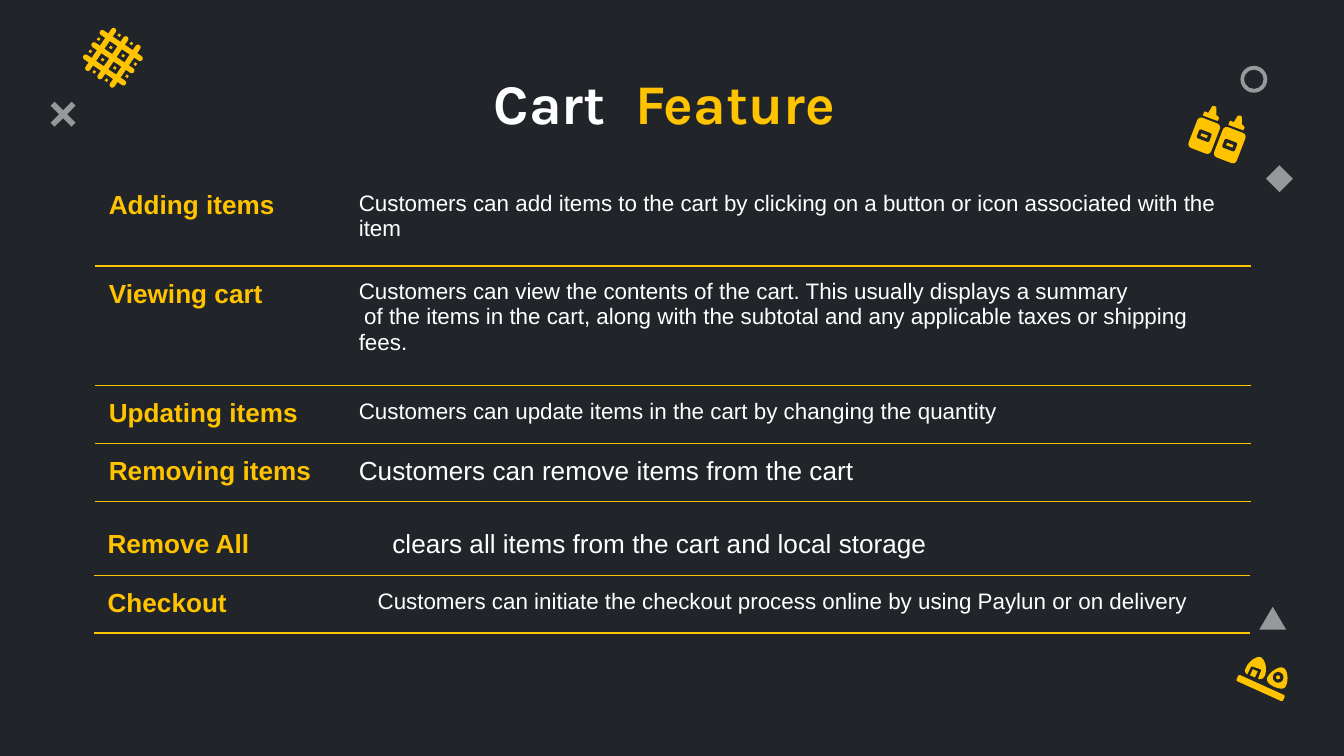
from math import cos, radians, sin
from lxml import etree
from pptx import Presentation
from pptx.dml.color import RGBColor
from pptx.enum.shapes import MSO_SHAPE
from pptx.enum.text import PP_ALIGN
from pptx.oxml import parse_xml
from pptx.oxml.ns import nsdecls, qn
from pptx.util import Inches, Pt

DARK = RGBColor(0x21, 0x25, 0x29)
GOLD = RGBColor(0xFF, 0xC3, 0x00)
WHITE = RGBColor(0xFF, 0xFF, 0xFF)
RECT, ROUND, OVAL = MSO_SHAPE.RECTANGLE, MSO_SHAPE.ROUNDED_RECTANGLE, MSO_SHAPE.OVAL
DONUT, CROSS = MSO_SHAPE.DONUT, MSO_SHAPE.MATH_MULTIPLY
PEAK, GEM = MSO_SHAPE.ISOSCELES_TRIANGLE, MSO_SHAPE.DIAMOND
CENTER = PP_ALIGN.CENTER
PLAIN = "{2D5ABB26-0587-4C30-8999-92F81FD0307C}"  # no style, no grid

deck = Presentation()
deck.slide_width = Inches(10)
deck.slide_height = Inches(10) * 9 // 16
slide = deck.slides.add_slide(deck.slide_layouts[6])
slide.background.fill.solid()
slide.background.fill.fore_color.rgb = DARK
shapes = slide.shapes


def place(kind, x, y, wide, high, turn=0, color=GOLD, adj=None):
    """Add a plain preset shape centred on x, y."""
    item = shapes.add_shape(kind, Inches(x - wide / 2), Inches(y - high / 2),
                            Inches(wide), Inches(high))
    item.rotation = turn
    item.shadow.inherit = False
    item.fill.solid()
    item.fill.fore_color.rgb = color
    item.line.fill.background()
    if adj is not None:
        item.adjustments[0] = adj
    return item


def trace(start, steps):
    """Fill an outline; a step is a line end or three Bezier points."""
    points, last = [], start
    for step in steps:
        if len(step) == 2:
            points.append(step)
        else:
            ax, ay, bx, by, cx, cy = step
            for n in range(1, 9):
                t = n / 8
                u = 1 - t
                points.append(tuple(
                    u**3 * p + 3 * u * u * t * a + 3 * u * t * t * b + t**3 * c
                    for p, a, b, c in zip(last, (ax, ay), (bx, by), (cx, cy))))
        last = step[-2:]
    form = shapes.build_freeform(Inches(start[0]), Inches(start[1]), scale=1.0)
    form.add_line_segments([(Inches(x), Inches(y)) for x, y in points], close=True)
    item = form.convert_to_shape()
    item.shadow.inherit = False
    item.fill.solid()
    item.fill.fore_color.rgb = GOLD
    item.line.fill.background()


# Sushi on a board
TILT = 24.3
place(ROUND, 9.38, 5.12, 0.38, 0.05, TILT, adj=0.25)
trace((9.55, 4.97), [(9.52, 4.95, 9.45, 5, 9.43, 5.04), (9.42, 5.07, 9.44, 5.09, 9.48, 5.11),
                     (9.53, 5.13, 9.56, 5.13, 9.57, 5.1), (9.59, 5.06, 9.58, 4.98, 9.55, 4.97)])
place(OVAL, 9.51, 5.04, 0.08, 0.08, color=DARK)
place(OVAL, 9.51, 5.04, 0.03, 0.03)
trace((9.38, 4.89), [(9.35, 4.88, 9.29, 4.92, 9.27, 4.97), (9.26, 4.99, 9.26, 5, 9.28, 5.02),
                     (9.31, 4.96), (9.31, 4.96, 9.32, 4.96, 9.32, 4.96), (9.38, 4.98),
                     (9.38, 4.99, 9.39, 4.99, 9.38, 5), (9.36, 5.05),
                     (9.38, 5.06, 9.4, 5.05, 9.41, 5.03), (9.43, 4.99, 9.42, 4.91, 9.38, 4.89)])
place(RECT, 9.33, 5.01, 0.04, 0.05, TILT)

# Waffle: three bars each way, small squares between them
SLANT = 34.2
STEP = 0.11
dx, dy = cos(radians(SLANT)), sin(radians(SLANT))
midx, midy = 0.84, 0.43
for off in (-STEP, 0, STEP):
    place(ROUND, midx - off * dy, midy + off * dx, 0.38, 0.04, SLANT, adj=0.5)
    place(ROUND, midx + off * dx, midy + off * dy, 0.04, 0.38, SLANT, adj=0.5)
spots = [STEP * n for n in (-1.5, -0.5, 0.5, 1.5)]
for a in spots:
    for b in spots:
        if abs(a) + abs(b) < 0.3:
            place(RECT, midx + a * dx - b * dy, midy + a * dy + b * dx, 0.02, 0.02, SLANT)

# Two sauce bottles
LEAN = 21
for sx, sy in ((0, 0), (-0.19, -0.07)):
    place(ROUND, 9.15 + sx, 1.08 + sy, 0.18, 0.24, LEAN, adj=0.17)
    place(ROUND, 9.15 + sx, 1.08 + sy, 0.1, 0.07, LEAN, DARK, 0.2)
    place(RECT, 9.15 + sx, 1.08 + sy, 0.05, 0.02, LEAN)
    tip = [(9.21, 0.86), (9.18, 0.91), (9.16, 0.9), (9.15, 0.9), (9.14, 0.93), (9.25, 0.97),
           (9.26, 0.95), (9.25, 0.93), (9.24, 0.93), (9.24, 0.87)]
    trace((9.23 + sx, 0.86 + sy), [(x + sx, y + sy) for x, y in tip])

# Faint marks
for kind, x, y, wide, high, adj in (
        (DONUT, 9.33, 0.59, 0.2, 0.2, 0.14), (CROSS, 0.47, 0.85, 0.3, 0.3, 0.14),
        (PEAK, 9.47, 4.6, 0.2, 0.17, None), (GEM, 9.52, 1.33, 0.2, 0.2, None)):
    mark = place(kind, x, y, wide, high, color=WHITE, adj=adj)
    tone = mark.fill._xPr.find(".//" + qn("a:srgbClr"))
    etree.SubElement(tone, qn("a:alpha"), val="53000")

# Tables: left, top, column widths, rows of (height, label, lines, size, left inset)
tables = (
    (0.7, 3.84, (2.01, 6.59), (
        (0.44, "Remove All", ["clears all items from the cart and local storage"], 14, 0.21),
        (0.43, "Checkout", ["Customers can initiate the checkout process online by using "
                            "Paylun or on delivery"], 12, 0.1))),
    (0.71, 1.32, (1.86, 6.74), (
        (0.66, "Adding items", ["Customers can add items to the cart by clicking on a button "
                                "or icon associated with the item"], 12, 0.1),
        (0.89, "Viewing cart", ["Customers can view the contents of the cart. This usually "
                                "displays a summary",
                                "of the items in the cart, along with the subtotal and any "
                                "applicable taxes or shipping fees."], 12, 0.1),
        (0.43, "Updating items", ["Customers can update items in the cart by changing the "
                                  "quantity"], 12, 0.1),
        (0.43, "Removing items", ["Customers can remove items from the cart"], 14, 0.1))))
for left, top, cols, rows in tables:
    frame = shapes.add_table(len(rows), 2, Inches(left), Inches(top), Inches(sum(cols)),
                             Inches(sum(row[0] for row in rows)))
    grid = frame.table
    grid.first_row = grid.horz_banding = False
    grid._tbl.tblPr.find(qn("a:tableStyleId")).text = PLAIN
    for col, wide in zip(grid.columns, cols):
        col.width = Inches(wide)
    for r, (high, label, lines, size, inset) in enumerate(rows):
        grid.rows[r].height = Inches(high)
        for c, (texts, look, pad) in enumerate((
                ([label], {"size": Pt(14), "bold": True}, 0.1),
                (lines, {"size": Pt(size), "bold": False}, inset))):
            cell = grid.cell(r, c)
            cell.fill.background()
            cell.margin_left = Inches(pad)
            cell.margin_right = cell.margin_top = cell.margin_bottom = Inches(0.1)
            # Rules above and below, none above the first row
            for spot, edge in enumerate(("lnT", "lnB") if r else ("lnB",)):
                cell._tc.get_or_add_tcPr().insert(spot, parse_xml(
                    f'<a:{edge} {nsdecls("a")} w="9525"><a:solidFill><a:srgbClr val="{GOLD}"/>'
                    f'</a:solidFill></a:{edge}>'))
            for n, text in enumerate(texts):
                para = cell.text_frame.paragraphs[0] if n == 0 else cell.text_frame.add_paragraph()
                if n:
                    para._p.get_or_add_pPr().set("indent", str(Inches(0.04)))
                run = para.add_run()
                run.text = text
                for key, value in {"name": "Arial", **look}.items():
                    setattr(run.font, key, value)
                run.font.color.rgb = WHITE if c else GOLD
            if c:
                para.space_after = Pt(16)

# Title
box = shapes.add_textbox(Inches(0.73), Inches(0.41), Inches(8.43), Inches(0.52))
body = box.text_frame
body.word_wrap = True
for side in ("left", "right", "top", "bottom"):
    setattr(body, "margin_" + side, Inches(0.1))
head = body.paragraphs[0]
head.alignment = CENTER
for text, color in (("Cart", WHITE), (" ", WHITE), ("Feature", GOLD)):
    run = head.add_run()
    run.text = text
    for key, value in {"name": "Karla", "size": Pt(30), "bold": True}.items():
        setattr(run.font, key, value)
    run.font.color.rgb = color
    if text == " ":
        run.font._element.set("spc", "800")  # wide gap between the words

deck.save("out.pptx")
